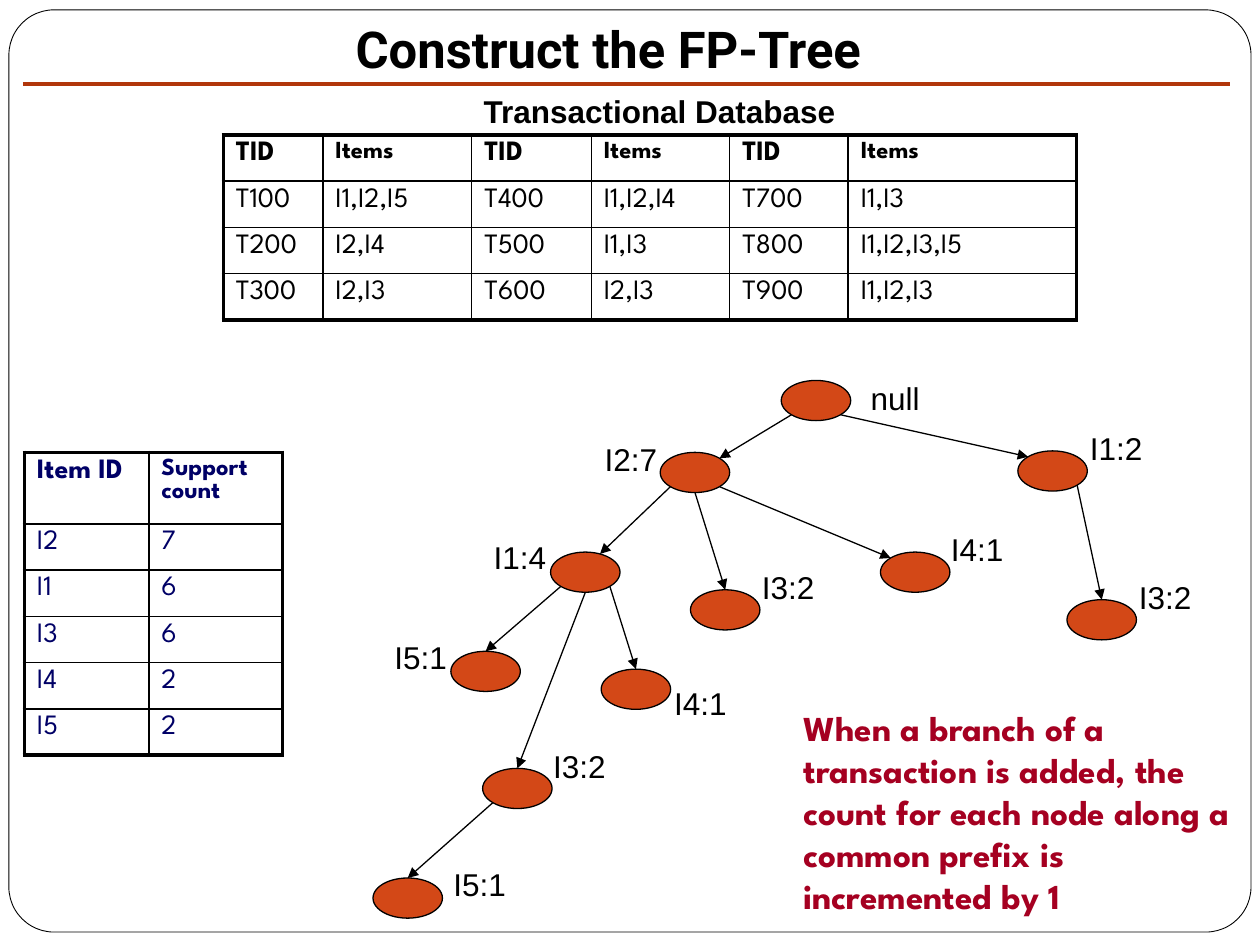
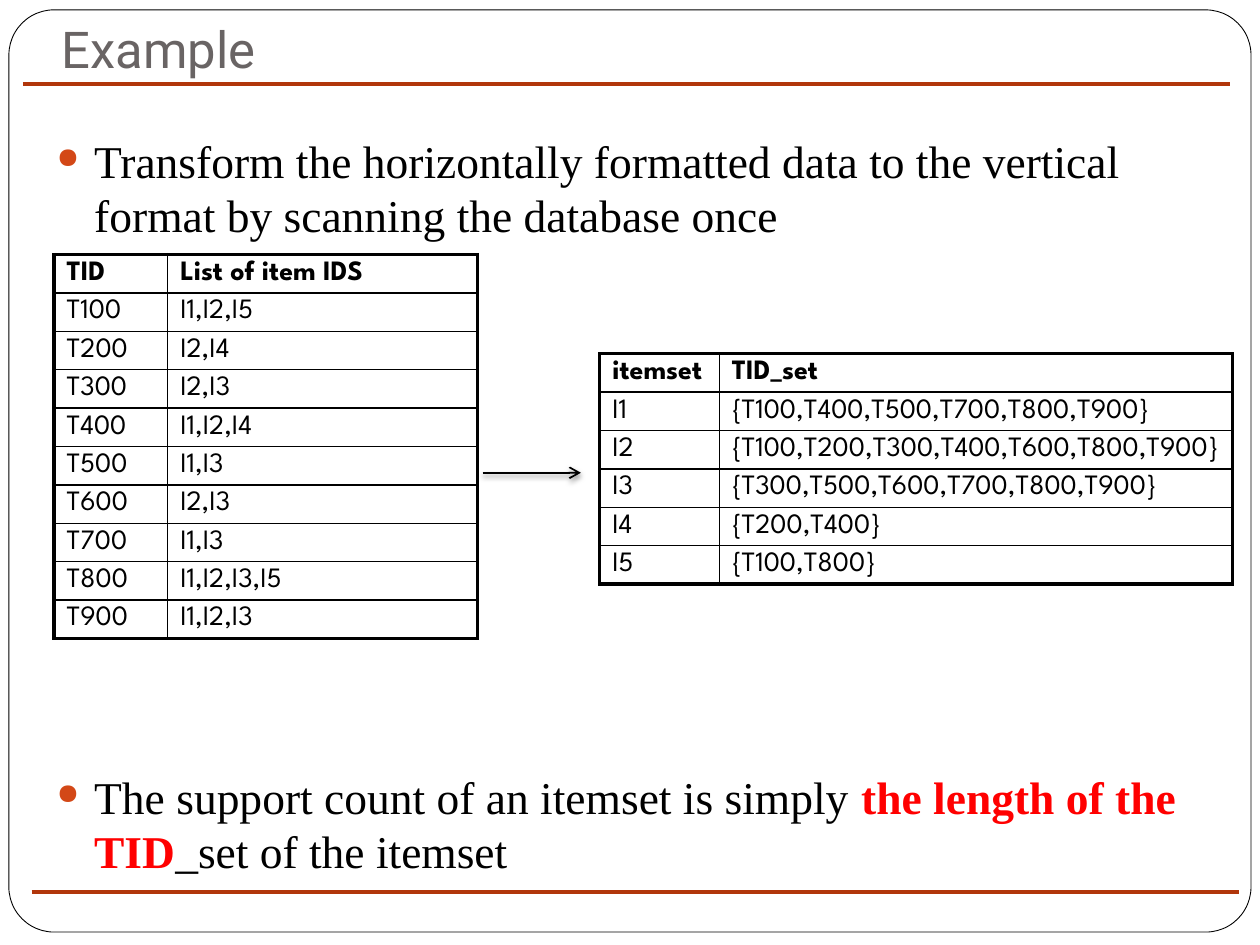
from math import cos, radians, sin

from lxml import etree
from pptx import Presentation
from pptx.dml.color import RGBColor
from pptx.enum.shapes import MSO_CONNECTOR, MSO_SHAPE
from pptx.enum.text import MSO_ANCHOR, PP_ALIGN
from pptx.oxml.ns import qn
from pptx.util import Cm, Pt

STRAIGHT = MSO_CONNECTOR.STRAIGHT
ELLIPSE, ROUNDED = MSO_SHAPE.OVAL, MSO_SHAPE.ROUNDED_RECTANGLE
LEFT, CENTER = PP_ALIGN.LEFT, PP_ALIGN.CENTER
BOTTOM, TOP = MSO_ANCHOR.BOTTOM, MSO_ANCHOR.TOP

BLACK, WHITE, GREY = "000000", "FFFFFF", "696464"
ORANGE, RUST = "D34817", "B1360B"
NAVY, CRIMSON, RED = "000066", "A50021", "FF0000"
TITLE_FONT, TABLE_FONT = "Roboto", "League Spartan"
LABEL_FONT, BODY_FONT = "Arial", "Times New Roman"
NODE_WIDTH, NODE_HEIGHT = 1.4, 0.81


def color(value):
    return RGBColor.from_string(value)


def add_element(parent, tag, **attributes):
    return etree.SubElement(parent, qn(tag), attributes)


class Deck:
    """Holds the shared style and the slide being filled; lengths are in cm."""

    def __init__(self):
        self.presentation = Presentation()
        self.presentation.slide_width = Cm(25.4)
        self.presentation.slide_height = Cm(19.05)
        self.slide = None

    def start_slide(self, title, left, top, height, title_color, bold, align):
        self.slide = self.presentation.slides.add_slide(self.presentation.slide_layouts[6])
        frame = self.shape(ROUNDED, 0.18, 0.2, 25.04, 18.59, WHITE, 0.5)
        frame.adjustments[0] = 0.049
        text_frame = self.text(title, left, top, 22.86, height, TITLE_FONT, 29,
                               title_color, bold, align=align)
        text_frame.vertical_anchor = BOTTOM
        text_frame.margin_bottom = Cm(0.25)
        self.rule(0.46, 1.7)

    def shape(self, kind, left, top, width, height, fill, line_width):
        shape = self.slide.shapes.add_shape(kind, Cm(left), Cm(top), Cm(width), Cm(height))
        shape.shadow.inherit = False
        shape.fill.solid()
        shape.fill.fore_color.rgb = color(fill)
        shape.line.color.rgb = color(BLACK)
        shape.line.width = Pt(line_width)
        return shape

    def style(self, run, font, size, text_color, bold=False):
        run.font.name = font
        run.font.size = Pt(size)
        run.font.bold = bold
        run.font.color.rgb = color(text_color)

    def text(self, text, left, top, width, height, font, size, text_color=BLACK,
             bold=False, align=LEFT, wrap=True):
        box = self.slide.shapes.add_textbox(Cm(left), Cm(top), Cm(width), Cm(height))
        text_frame = box.text_frame
        text_frame.word_wrap = wrap
        text_frame.vertical_anchor = TOP
        text_frame.text = text
        paragraph = text_frame.paragraphs[0]
        paragraph.alignment = align
        self.style(paragraph.runs[0], font, size, text_color, bold)
        return text_frame

    def label(self, text, left, top, width=1.57, bold=False):
        self.text(text, left, top, width, 1.02, LABEL_FONT, 18, bold=bold, wrap=False)

    def note(self, text, left, top, width, height):
        text_frame = self.text(text, left, top, width, height, TABLE_FONT, 20, CRIMSON, True)
        text_frame.paragraphs[0]._p.get_or_add_pPr().set("marL", str(Cm(1.07)))

    def bullets(self, items, left, top, width, height, gap):
        """Each item is a list of (text, color, bold) pieces."""
        box = self.slide.shapes.add_textbox(Cm(left), Cm(top), Cm(width), Cm(height))
        text_frame = box.text_frame
        text_frame.word_wrap = True
        for index, pieces in enumerate(items):
            paragraph = text_frame.add_paragraph() if index else text_frame.paragraphs[0]
            if index:
                paragraph.space_before = Pt(gap)
            properties = paragraph._p.get_or_add_pPr()
            properties.set("marL", str(Cm(0.76)))
            properties.set("indent", str(-Cm(0.76)))
            add_element(add_element(properties, "a:buClr"), "a:srgbClr", val=ORANGE)
            add_element(properties, "a:buSzPct", val="63000")
            add_element(properties, "a:buChar", char="●")
            for text, text_color, bold in pieces:
                run = paragraph.add_run()
                run.text = text
                self.style(run, BODY_FONT, 26, text_color, bold)

    def line(self, start, end, line_color=BLACK, width=0.75, head=None, shadow=False):
        (x1, y1), (x2, y2) = start, end
        connector = self.slide.shapes.add_connector(STRAIGHT, Cm(x1), Cm(y1), Cm(x2), Cm(y2))
        connector.line.color.rgb = color(line_color)
        connector.line.width = Pt(width)
        if head:
            add_element(connector.line._get_or_add_ln(), "a:tailEnd", type=head)
        effects = add_element(connector._element.spPr, "a:effectLst")
        if shadow:
            outer = add_element(effects, "a:outerShdw", blurRad=str(Pt(3)), dist=str(Pt(2)),
                                dir="5400000", rotWithShape="0")
            shade = add_element(outer, "a:srgbClr", val=BLACK)
            add_element(shade, "a:alpha", val="50000")

    def rule(self, left, top):
        self.line((left, top), (left + 24.33, top), RUST, 2.25)

    def table(self, rows, left, top, widths, heights, text_color=BLACK,
              header_sizes=None, line_height=None):
        """Heavy outer border, thin inner grid, bold first row."""
        frame = self.slide.shapes.add_table(len(rows), len(widths), Cm(left), Cm(top),
                                            Cm(sum(widths)), Cm(sum(heights)))
        table = frame.table
        table.first_row = table.horz_banding = False
        for column, width in zip(table.columns, widths):
            column.width = Cm(width)
        for row, height in zip(table.rows, heights):
            row.height = Cm(height)
        last_row, last_column = len(rows) - 1, len(widths) - 1
        for r, values in enumerate(rows):
            for c, value in enumerate(values):
                cell = table.cell(r, c)
                cell.text_frame.text = value
                paragraph = cell.text_frame.paragraphs[0]
                if line_height:
                    paragraph.line_spacing = Pt(line_height)
                size = header_sizes[c] if header_sizes and r == 0 else 16
                self.style(paragraph.runs[0], TABLE_FONT, size, text_color, r == 0)
                outer = {"a:lnL": c == 0, "a:lnR": c == last_column,
                         "a:lnT": r == 0, "a:lnB": r == last_row}
                self.borders(cell, outer)
                cell.fill.background()

    def borders(self, cell, outer):
        properties = cell._tc.get_or_add_tcPr()
        for tag, heavy in outer.items():
            border = add_element(properties, tag, w=str(Pt(2.25 if heavy else 1)))
            add_element(add_element(border, "a:solidFill"), "a:srgbClr", val=BLACK)

    def node(self, left, top):
        self.shape(ELLIPSE, left, top, NODE_WIDTH, NODE_HEIGHT, ORANGE, 0.75)


def rim_point(left, top, angle):
    """Point on a node's outline, counter-clockwise from the right."""
    return (left + NODE_WIDTH / 2 * (1 + cos(radians(angle))),
            top + NODE_HEIGHT / 2 * (1 - sin(radians(angle))))


# Transactions shared by both slides
TRANSACTIONS = [
    ("T100", "I1,I2,I5"), ("T200", "I2,I4"), ("T300", "I2,I3"),
    ("T400", "I1,I2,I4"), ("T500", "I1,I3"), ("T600", "I2,I3"),
    ("T700", "I1,I3"), ("T800", "I1,I2,I3,I5"), ("T900", "I1,I2,I3"),
]
SUPPORT_COUNTS = [("Item ID", "Support count"), ("I2", "7"), ("I1", "6"),
                  ("I3", "6"), ("I4", "2"), ("I5", "2")]
TID_SETS = [
    ("itemset", "TID_set"),
    ("I1", "{T100,T400,T500,T700,T800,T900}"),
    ("I2", "{T100,T200,T300,T400,T600,T800,T900}"),
    ("I3", "{T300,T500,T600,T700,T800,T900}"),
    ("I4", "{T200,T400}"),
    ("I5", "{T100,T800}"),
]

# Tree: prefix -> (node position, label, label position)
TREE_NODES = {
    "root": ((15.75, 7.67), "null", (17.3, 7.52)),
    "I2": ((13.31, 9.12), "I2:7", (11.94, 8.74)),
    "I2 I1": ((11.1, 11.13), "I1:4", (9.7, 10.72)),
    "I2 I1 I5": ((9.09, 13.13), "I5:1", (7.7, 12.73)),
    "I2 I4": ((17.75, 11.13), "I4:1", (18.92, 10.57)),
    "I2 I3": ((13.92, 11.89), "I3:2", (15.11, 11.33)),
    "I2 I1 I4": ((12.12, 13.49), "I4:1", (13.34, 13.67)),
    "I1": ((20.52, 9.09), "I1:2", (21.72, 8.53)),
    "I1 I3": ((21.51, 12.09), "I3:2", (22.71, 11.53)),
    "I2 I1 I3": ((9.73, 15.49), "I3:2", (10.9, 14.94)),
    "I2 I1 I3 I5": ((7.52, 17.7), "I5:1", (8.89, 17.32)),
}
# Parent, angle it leaves at, child, angle it arrives at
TREE_EDGES = [
    ("root", 225, "I2", 45), ("root", 315, "I1", 135),
    ("I2", 225, "I2 I1", 65), ("I2", 270, "I2 I3", 90), ("I2", 315, "I2 I4", 135),
    ("I2 I1", 225, "I2 I1 I5", 90), ("I2 I1", 270, "I2 I1 I3", 90),
    ("I2 I1", 315, "I2 I1 I4", 90), ("I1", 315, "I1 I3", 90),
    ("I2 I1 I3", 225, "I2 I1 I3 I5", 90),
]


def build_tree_slide(deck):
    deck.start_slide("Construct the FP-Tree", 0.84, 0.53, 1.3, BLACK, True, CENTER)

    # Tables
    deck.label("Transactional Database", 9.5, 1.73, 7.65, bold=True)
    deck.table(SUPPORT_COUNTS, 0.49, 9.12, [2.51, 2.69], [1.43] + [0.93] * 5,
               NAVY, [16, 14])
    rows = [("TID", "Items") * 3]
    for index in range(3):
        rows.append(sum(TRANSACTIONS[index::3], ()))
    deck.table(rows, 4.5, 2.72, [2.01, 3, 2.41, 2.79, 2.39, 4.6], [0.93] * 4,
               header_sizes=[16, 14] * 3)

    # Tree
    for position, label, label_position in TREE_NODES.values():
        deck.node(*position)
        deck.label(label, *label_position)
    for parent, leaving, child, arriving in TREE_EDGES:
        deck.line(rim_point(*TREE_NODES[parent][0], leaving),
                  rim_point(*TREE_NODES[child][0], arriving), head="triangle")

    deck.note("When a branch of a transaction is added, the count for each node "
              "along a common prefix is incremented by 1", 14.88, 14.12, 10.52, 4.39)


def build_example_slide(deck):
    deck.start_slide("Example", 0.99, 0.43, 1.4, GREY, False, LEFT)
    deck.bullets([
        [("Transform the horizontally formatted data to the vertical format "
          "by scanning the database once", BLACK, False)],
        [("The support count of an itemset is simply ", BLACK, False),
         ("the length of the TID", RED, True),
         ("_set of the itemset", BLACK, False)],
    ], 0.89, 2.55, 23.72, 16.4, gap=301)

    # Horizontal format turned into vertical format
    deck.table([("TID", "List of item IDS")] + TRANSACTIONS, 1.09, 5.13,
               [2.29, 6.25], [0.77] * 10, line_height=14.7)
    deck.line((9.73, 9.53), (11.71, 9.53), width=1, head="arrow", shadow=True)
    deck.table(TID_SETS, 12.09, 7.13, [2.41, 10.34], [0.77] * 6, line_height=14.7)
    deck.rule(0.64, 17.98)


def main():
    deck = Deck()
    build_tree_slide(deck)
    build_example_slide(deck)
    deck.presentation.save("out.pptx")


if __name__ == "__main__":
    main()
